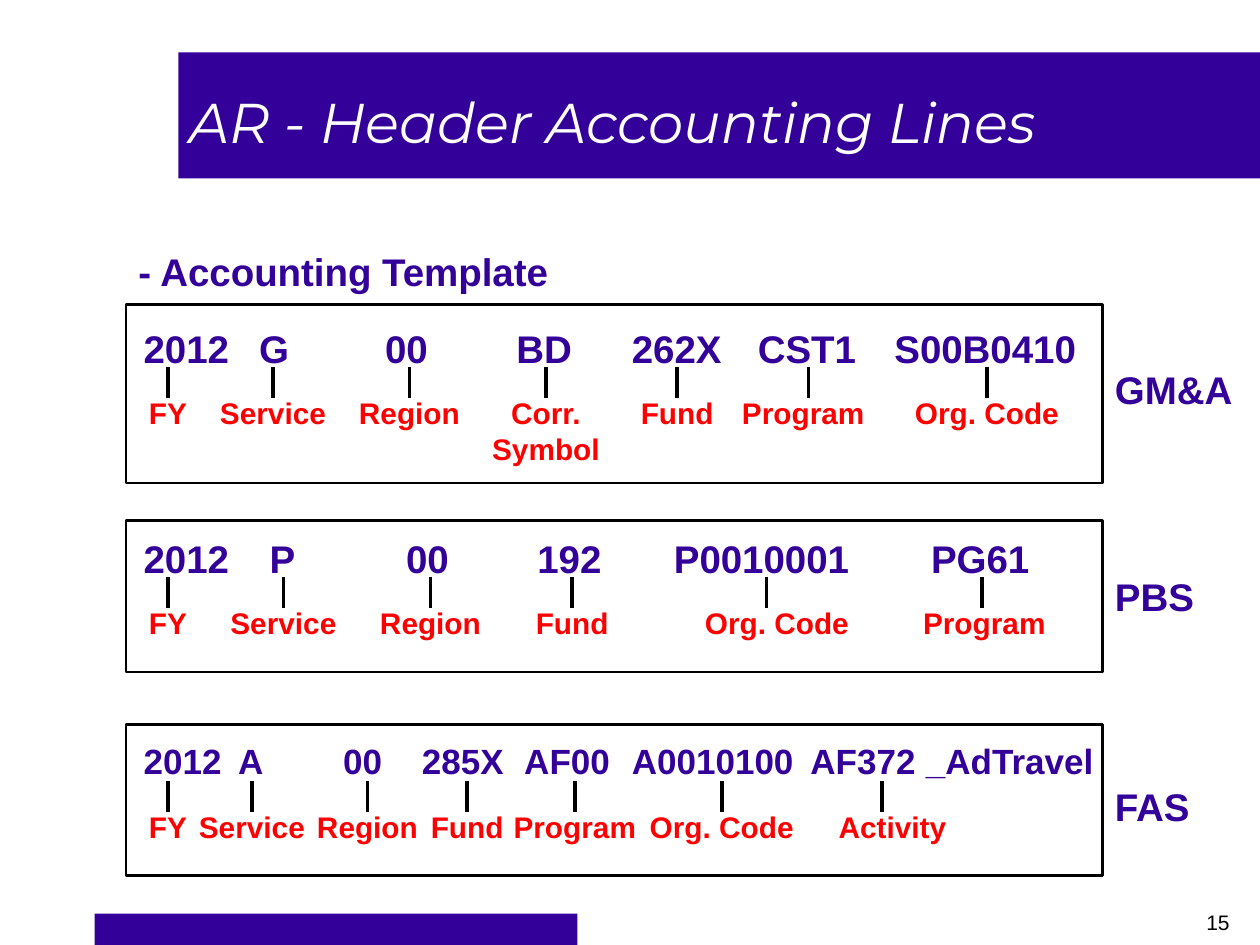
from dataclasses import dataclass

from lxml.etree import SubElement
from pptx import Presentation
from pptx.dml.color import RGBColor as Color
from pptx.enum.shapes import MSO_CONNECTOR as Connector, MSO_SHAPE as Shape
from pptx.enum.text import MSO_ANCHOR as Anchor, MSO_AUTO_SIZE as AutoSize, PP_ALIGN as Align
from pptx.oxml.ns import qn
from pptx.util import Inches, Pt


@dataclass(frozen=True)
class Theme:
    brand: Color = Color(0x33, 0x00, 0x99)
    label: Color = Color(0xFF, 0x00, 0x00)
    ink: Color = Color(0x00, 0x00, 0x00)
    paper: Color = Color(0xFF, 0xFF, 0xFF)
    title_font: str = "Montserrat"
    body_font: str = "Arial"
    title_size: int = 32
    heading_size: int = 22
    small_code_size: int = 20
    label_size: int = 17
    number_size: int = 12
    frame_line: float = 1.5
    tick_line: float = 2.25


class SlideBuilder:
    """Places elements on a grid of 120 columns by 90 rows."""

    columns, rows = 120, 90

    def __init__(self, presentation, theme):
        self.theme = theme
        self.column = presentation.slide_width / self.columns
        self.row = presentation.slide_height / self.rows
        self.slide = presentation.slides.add_slide(presentation.slide_layouts[5])
        self.shapes = self.slide.shapes

    def place(self, left, top, width, height):
        return (round(left * self.column), round(top * self.row),
                round(width * self.column), round(height * self.row))

    def style(self, paragraph, size, color, name, bold=False, italic=False):
        for run in paragraph.runs:
            font = run.font
            font.size, font.name = Pt(size), name
            font.bold, font.italic = bold, italic
            font.color.rgb = color

    def title(self, text, *box):
        shape = self.shapes.title
        shape.left, shape.top, shape.width, shape.height = self.place(*box)
        self.shapes._spTree.append(shape._element)  # in front of the banner
        frame = shape.text_frame
        frame.text = text
        frame.vertical_anchor = Anchor.MIDDLE
        paragraph = frame.paragraphs[0]
        paragraph.alignment = Align.LEFT
        self.style(paragraph, self.theme.title_size, self.theme.paper,
                   self.theme.title_font, italic=True)

    def text(self, text, *box, size, color, bold=True, align=Align.LEFT):
        frame = self.shapes.add_textbox(*self.place(*box)).text_frame
        frame.word_wrap = True
        frame.auto_size = AutoSize.SHAPE_TO_FIT_TEXT
        frame.text = text
        paragraph = frame.paragraphs[0]
        paragraph.alignment = align
        self.style(paragraph, size, color, self.theme.body_font, bold)

    def heading(self, text, left, top, width):
        self.text(text, left, top, width, 5.6,
                  size=self.theme.heading_size, color=self.theme.brand)

    def bar(self, *box):
        shape = self.shapes.add_shape(Shape.RECTANGLE, *self.place(*box))
        shape.shadow.inherit = False
        shape.fill.solid()
        shape.fill.fore_color.rgb = self.theme.brand
        shape.line.fill.background()

    def frame(self, *box):
        shape = self.shapes.add_shape(Shape.RECTANGLE, *self.place(*box))
        shape.shadow.inherit = False
        shape.fill.background()
        shape.line.color.rgb = self.theme.ink
        shape.line.width = Pt(self.theme.frame_line)

    def tick(self, left, top, height):
        x, y, _, length = self.place(left, top, 0, height)
        line = self.shapes.add_connector(Connector.STRAIGHT, x, y, x, y + length)
        line.line.color.rgb = self.theme.ink
        line.line.width = Pt(self.theme.tick_line)
        SubElement(line._element.spPr, qn("a:effectLst"))

    def accounting_line(self, name, name_top, frame_top, frame_height,
                        label_top, code_size, fields):
        """Draws a framed row of codes, each with a tick down to its label."""
        self.frame(12, frame_top, 93, frame_height)
        self.heading(name, 105, name_top, 15)
        for code, left, width, tick, label, center in fields:
            self.text(code, left, label_top - 6.6, width, 5.6,
                      size=code_size, color=self.theme.brand)
            if label:
                self.tick(tick, label_top - 2, 2.9)
                label_width = LABEL_WIDTHS[label]
                self.text(label, center - label_width / 2, label_top, label_width, 4.7,
                          size=self.theme.label_size, color=self.theme.label,
                          align=Align.CENTER)


LABEL_WIDTHS = {"FY": 8, "Service": 14, "Region": 14, "Corr. Symbol": 14, "Fund": 11,
                "Program": 16, "Org. Code": 18, "Activity": 18}

# Each field: code, code left, code width, tick column, label, label centre
GMA_FIELDS = [
    ("2012", 12.5, 12.5, 16, "FY", 16),
    ("G", 23.5, 5, 26, "Service", 26),
    ("00", 35.5, 7, 39, "Region", 39),
    ("BD", 48, 8, 52, "Corr. Symbol", 52),
    ("262X", 59, 11, 64.5, "Fund", 64.5),
    ("CST1", 71, 12, 77, "Program", 76.5),
    ("S00B0410", 84, 20, 94, "Org. Code", 94),
]
PBS_FIELDS = [
    ("2012", 12.5, 13.5, 16, "FY", 16),
    ("P", 24.5, 5, 27, "Service", 27),
    ("00", 37.5, 7, 41, "Region", 41),
    ("192", 50, 9, 54.5, "Fund", 54.5),
    ("P0010001", 63, 20, 73, "Org. Code", 74),
    ("PG61", 87.5, 12, 93.5, "Program", 93.75),
]
FAS_FIELDS = [
    ("2012", 12.5, 14.5, 16, "FY", 16),
    ("A", 21.5, 5, 24, "Service", 24),
    ("00", 31.5, 7, 35, "Region", 35),
    ("285X", 39, 11, 44.5, "Fund", 44.5),
    ("AF00", 48.75, 12, 54.75, "Program", 54.75),
    ("A0010100", 59, 19.5, 68.75, "Org. Code", 68.75),
    ("AF372", 76, 14, 84, "Activity", 85),
    ("_AdTravel", 87, 20, None, None, None),
]


def main():
    presentation = Presentation()
    presentation.slide_width, presentation.slide_height = Inches(10), Inches(7.5)
    theme = Theme()
    builder = SlideBuilder(presentation, theme)

    # Banner, footer bar and page number
    builder.bar(9, 87, 46, 3)
    builder.bar(17, 5, 103, 12)
    builder.title("AR - Header Accounting Lines", 16.8, 4, 97.2, 15)
    builder.text("15", 113, 86, 6, 3.6, size=theme.number_size, color=theme.ink,
                 bold=False, align=Align.CENTER)

    # Accounting templates
    builder.heading("- Accounting Template", 12, 23, 77)
    builder.accounting_line("GM&A", 34.3, 29, 17, 37, theme.heading_size, GMA_FIELDS)
    builder.accounting_line("PBS", 54, 49.6, 14.4, 57, theme.heading_size, PBS_FIELDS)
    builder.accounting_line("FAS", 74, 69, 14.4, 76.4, theme.small_code_size, FAS_FIELDS)

    presentation.save("out.pptx")


if __name__ == "__main__":
    main()
